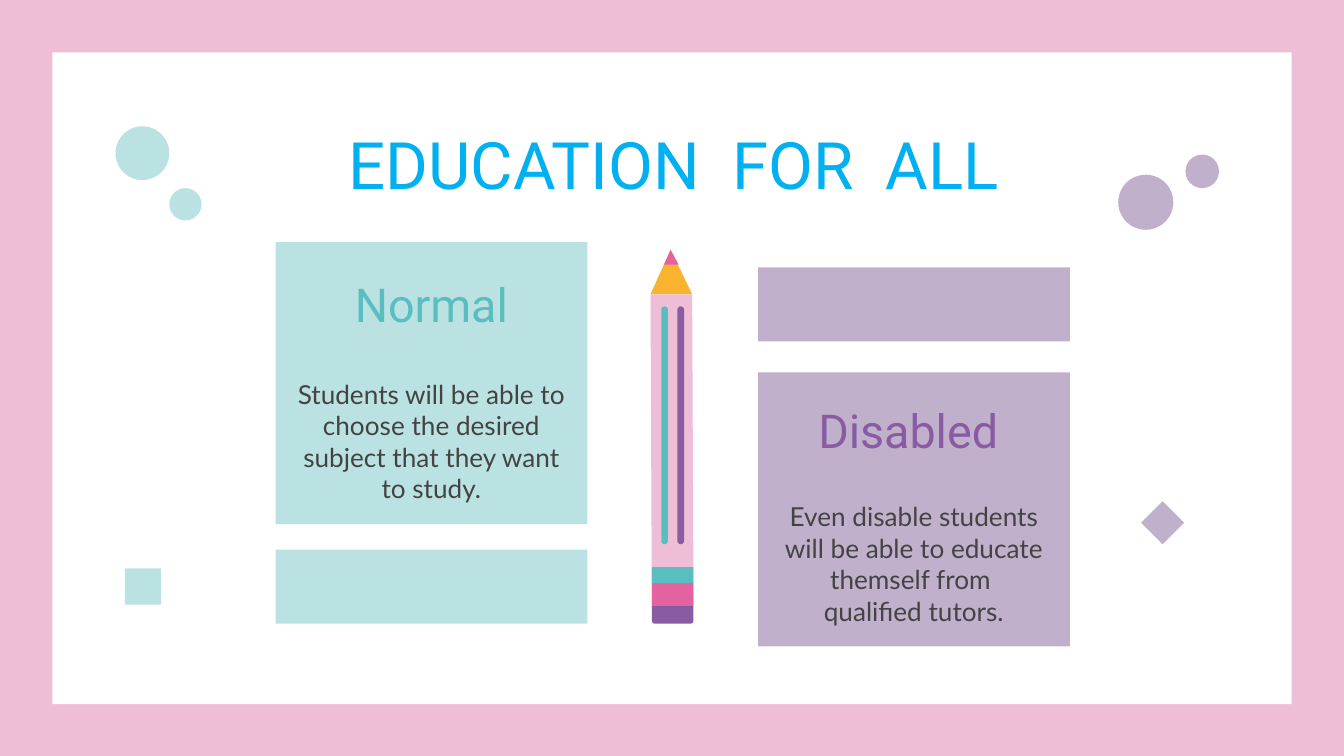
from dataclasses import dataclass

from pptx import Presentation
from pptx.dml.color import RGBColor
from pptx.enum import shapes, text
from pptx.oxml.ns import qn
from pptx.util import Inches, Pt

SHAPE = shapes.MSO_SHAPE


@dataclass(frozen=True)
class Theme:
    pink: str = "EEBDD6"
    white: str = "FFFFFF"
    mint: str = "BBE2E2"
    teal: str = "5ABEC0"
    lilac: str = "C0B0CC"
    purple: str = "885BA2"
    magenta: str = "E562A0"
    orange: str = "FAB32E"
    blue: str = "00B0F0"
    grey: str = "434343"
    heading_font: str = "Roboto"
    body_font: str = "Lato"
    title_size: int = 35
    heading_size: int = 25
    body_size: int = 14


class SlideBuilder:
    def __init__(self, slide, theme):
        self.slide = slide
        self.theme = theme

    def paint(self, shape, color):
        shape.fill.solid()
        shape.fill.fore_color.rgb = RGBColor.from_string(color)

    def background(self, color):
        self.paint(self.slide.background, color)

    def finish(self, shape, color):
        """Give a drawn shape a flat fill with no outline or shadow."""
        self.paint(shape, color)
        shape.line.fill.background()
        shape.shadow.inherit = False
        return shape

    def preset(self, kind, box, color):
        shape = self.slide.shapes.add_shape(kind, *map(Inches, box))
        return self.finish(shape, color)

    def polygon(self, points, color):
        start, *rest = [(Inches(x), Inches(y)) for x, y in points]
        builder = self.slide.shapes.build_freeform(*start)
        builder.add_line_segments(rest, close=True)
        return self.finish(builder.convert_to_shape(), color)

    def send_to_back(self, shape):
        self.slide.shapes._spTree.insert(2, shape._element)

    def placeholder(self, idx, box, words, font, size, color,
                    insets=(0.1, 0.1, 0.1, 0.1), anchor=text.MSO_ANCHOR.TOP):
        holder = self.slide.placeholders[idx]
        holder.left, holder.top, holder.width, holder.height = map(Inches, box)
        frame = holder.text_frame
        frame.text = words
        frame.word_wrap = True
        frame.auto_size = text.MSO_AUTO_SIZE.NONE
        frame.vertical_anchor = anchor
        (frame.margin_left, frame.margin_top,
         frame.margin_right, frame.margin_bottom) = map(Inches, insets)

        paragraph = frame.paragraphs[0]
        paragraph.alignment = text.PP_ALIGN.CENTER
        paragraph.space_before = Pt(0)
        paragraph.font.name = font
        paragraph.font.size = Pt(size)
        paragraph.font.bold = False
        paragraph.font.color.rgb = RGBColor.from_string(color)
        properties = paragraph._p.get_or_add_pPr()
        properties.set("marL", "0")
        properties.set("indent", "0")
        bullet_off = properties.makeelement(qn("a:buNone"), {})
        properties.find(qn("a:defRPr")).addprevious(bullet_off)
        return holder

    def heading(self, idx, box, words, size, color):
        return self.placeholder(idx, box, words, self.theme.heading_font, size, color)

    def card(self, idx, box, words, color):
        body = self.placeholder(
            idx, box, words, self.theme.body_font, self.theme.body_size,
            self.theme.grey, (0.15, 0.25, 0.15, 0.15), text.MSO_ANCHOR.BOTTOM)
        self.paint(body, color)

    def pencil(self):
        t = self.theme
        left, right, middle = 4.84, 5.15, 4.99
        self.polygon([(right, 2.19), (left, 2.19), (4.85, 4.51), (5.16, 4.51)], t.pink)
        self.polygon([(middle, 1.86), (left, 2.19), (right, 2.19)], t.orange)
        self.polygon([(middle, 1.86), (4.94, 1.97), (5.05, 1.97)], t.magenta)
        for top, height, color in ((4.34, 0.17, t.magenta), (4.22, 0.12, t.teal)):
            self.preset(SHAPE.RECTANGLE, (4.85, top, 0.31, height), color)
        eraser = self.preset(
            SHAPE.ROUND_2_SAME_RECTANGLE, (4.85, 4.51, 0.31, 0.13), t.purple)
        eraser.rotation = 180
        for stripe_left, color in ((4.92, t.teal), (5.04, t.purple)):
            stripe = self.preset(
                SHAPE.ROUNDED_RECTANGLE, (stripe_left, 2.28, 0.05, 1.77), color)
            stripe.adjustments[0] = 0.5


def main():
    theme = Theme()
    deck = Presentation()
    deck.slide_width = Inches(10)
    deck.slide_height = deck.slide_width * 9 // 16
    comparison_layout = deck.slide_layouts[4]
    page = SlideBuilder(deck.slides.add_slide(comparison_layout), theme)

    page.background(theme.pink)
    panel = page.preset(SHAPE.RECTANGLE, (0.39, 0.39, 9.22, 4.85), theme.white)
    page.send_to_back(panel)

    page.heading(0, (0.86, 0.82, 8.31, 0.63), "EDUCATION  FOR  ALL",
                 theme.title_size, theme.blue)
    page.card(1, (2.05, 1.8, 2.32, 2.1),
              "Students will be able to choose the desired subject that they "
              "want to study.", theme.mint)
    page.heading(2, (2.25, 1.95, 1.92, 0.63), "Normal",
                 theme.heading_size, theme.teal)
    page.card(3, (5.64, 2.77, 2.32, 2.04),
              "Even disable students will be able to educate themself from  "
              "qualified tutors.", theme.lilac)
    page.heading(4, (5.84, 2.89, 1.92, 0.63), "Disabled ",
                 theme.heading_size, theme.purple)

    page.pencil()

    decorations = (
        (SHAPE.RECTANGLE, (2.05, 4.09, 2.32, 0.55), theme.mint),
        (SHAPE.RECTANGLE, (5.64, 1.99, 2.32, 0.55), theme.lilac),
        (SHAPE.OVAL, (0.86, 0.94, 0.4, 0.4), theme.mint),
        (SHAPE.OVAL, (1.26, 1.4, 0.24, 0.24), theme.mint),
        (SHAPE.OVAL, (8.32, 1.3, 0.41, 0.41), theme.lilac),
        (SHAPE.OVAL, (8.82, 1.15, 0.25, 0.25), theme.lilac),
        (SHAPE.RECTANGLE, (0.93, 4.23, 0.27, 0.27), theme.mint),
        (SHAPE.DIAMOND, (8.49, 3.73, 0.32, 0.32), theme.lilac),
    )
    for kind, box, color in decorations:
        page.preset(kind, box, color)

    deck.save("out.pptx")


if __name__ == "__main__":
    main()
